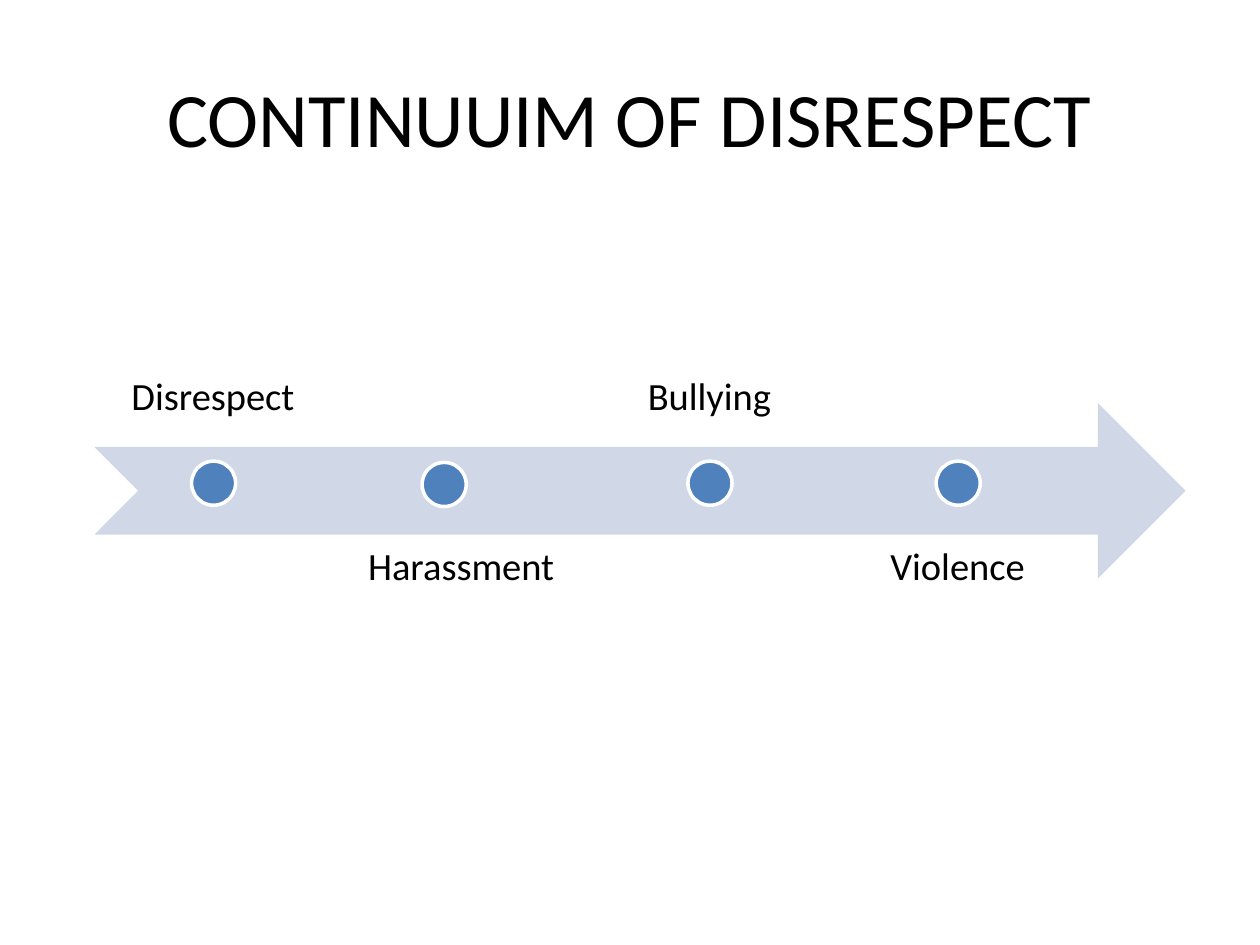
from dataclasses import dataclass

from pptx import Presentation
from pptx.dml.color import RGBColor
from pptx.enum.shapes import MSO_SHAPE
from pptx.enum.text import MSO_ANCHOR, PP_ALIGN
from pptx.util import Inches, Pt


@dataclass(frozen=True)
class Theme:
    font: str = "Calibri"
    ink: str = "000000"
    arrow: str = "D0D8E8"
    marker: str = "4F81BD"
    outline: str = "FFFFFF"
    title_size: int = 44
    label_size: int = 22
    outline_width: int = 2


class SlideBuilder:
    COLUMNS, ROWS = 100, 75

    def __init__(self, deck, theme):
        self.deck = deck
        self.theme = theme
        self.page = deck.slides.add_slide(deck.slide_layouts[6])

    def place(self, column, row, columns, rows):
        cell_width = self.deck.slide_width / self.COLUMNS
        cell_height = self.deck.slide_height / self.ROWS
        return (round(column * cell_width), round(row * cell_height),
                round(columns * cell_width), round(rows * cell_height))

    def text(self, words, area, size, anchor, inset=None, spacing=1.0):
        box = self.page.shapes.add_textbox(*self.place(*area))
        frame = box.text_frame
        frame.word_wrap = True
        frame.vertical_anchor = anchor
        if inset is not None:
            frame.margin_left = frame.margin_right = Inches(inset)
            frame.margin_top = frame.margin_bottom = Inches(inset)
        para = frame.paragraphs[0]
        para.alignment = PP_ALIGN.CENTER
        para.line_spacing = spacing
        span = para.add_run()
        span.text = words
        span.font.name = self.theme.font
        span.font.size = Pt(size)
        span.font.color.rgb = RGBColor.from_string(self.theme.ink)

    def title(self, words, area):
        self.text(words, area, self.theme.title_size, MSO_ANCHOR.MIDDLE)

    def label(self, words, area, anchor):
        self.text(words, area, self.theme.label_size, anchor, 0.17, 0.9)

    def shape(self, kind, area, color):
        shape = self.page.shapes.add_shape(kind, *self.place(*area))
        shape.shadow.inherit = False
        shape.fill.solid()
        shape.fill.fore_color.rgb = RGBColor.from_string(color)
        shape.line.fill.background()
        return shape

    def arrow(self, area):
        self.shape(MSO_SHAPE.NOTCHED_RIGHT_ARROW, area, self.theme.arrow)

    def marker(self, column, row, size):
        dot = self.shape(MSO_SHAPE.OVAL, (column, row, size, size), self.theme.marker)
        dot.line.color.rgb = RGBColor.from_string(self.theme.outline)
        dot.line.width = Pt(self.theme.outline_width)


def main():
    deck = Presentation()
    deck.slide_width, deck.slide_height = Inches(10), Inches(7.5)
    builder = SlideBuilder(deck, Theme())
    builder.title("CONTINUUIM OF DISRESPECT", (5, 3, 90, 12.5))

    left, band_height = 7.5, 13.9
    builder.arrow((left, 32, 86.6, band_height))

    above = (21, MSO_ANCHOR.BOTTOM)
    below = (41.8, MSO_ANCHOR.TOP)
    stages = [
        ("Disrespect", above, 7.7, 36.6),
        ("Harassment", below, 6.3, 36.7),
        ("Bullying", above, 7.7, 36.6),
        ("Violence", below, 7.7, 36.6),
    ]
    label_width, step = 18.8, 19.7
    for index, (name, (label_row, anchor), offset, marker_row) in enumerate(stages):
        column = left + index * step
        builder.label(name, (column, label_row, label_width, band_height), anchor)
        builder.marker(column + offset, marker_row, 3.5)

    deck.save("out.pptx")


if __name__ == "__main__":
    main()
